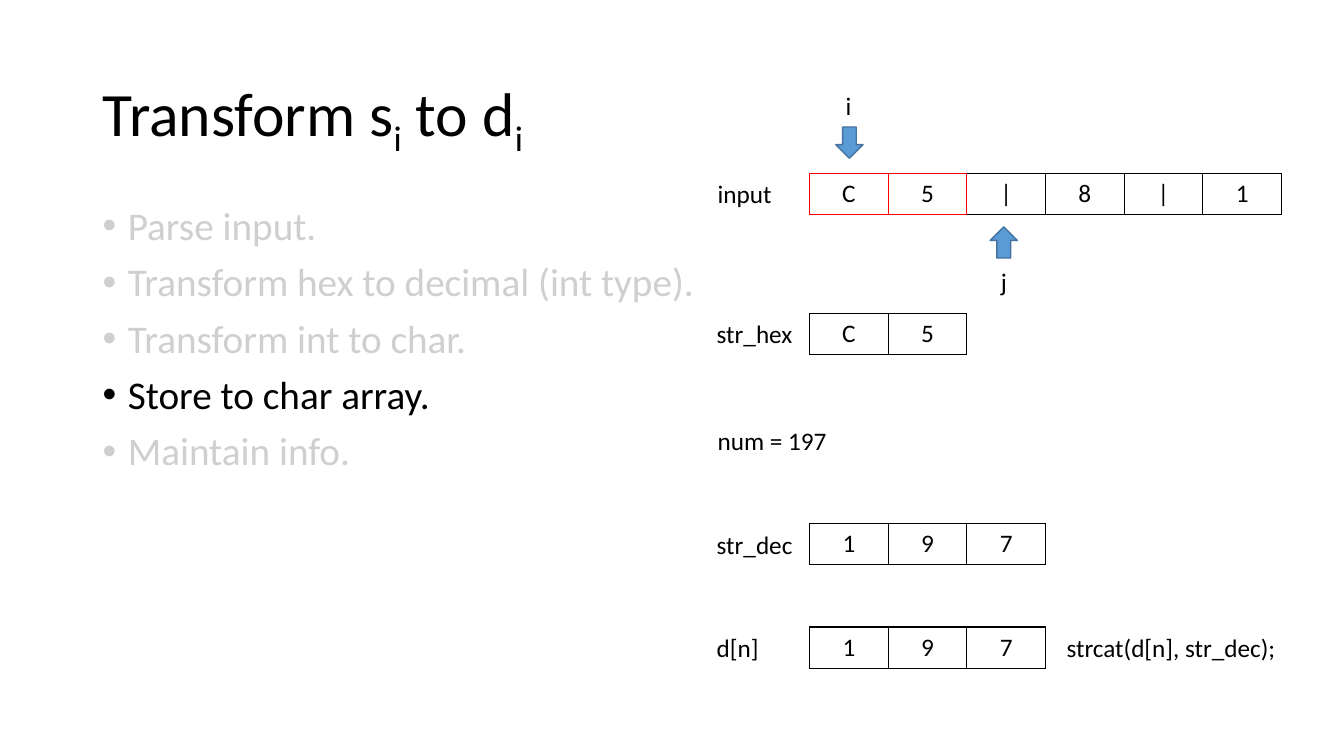
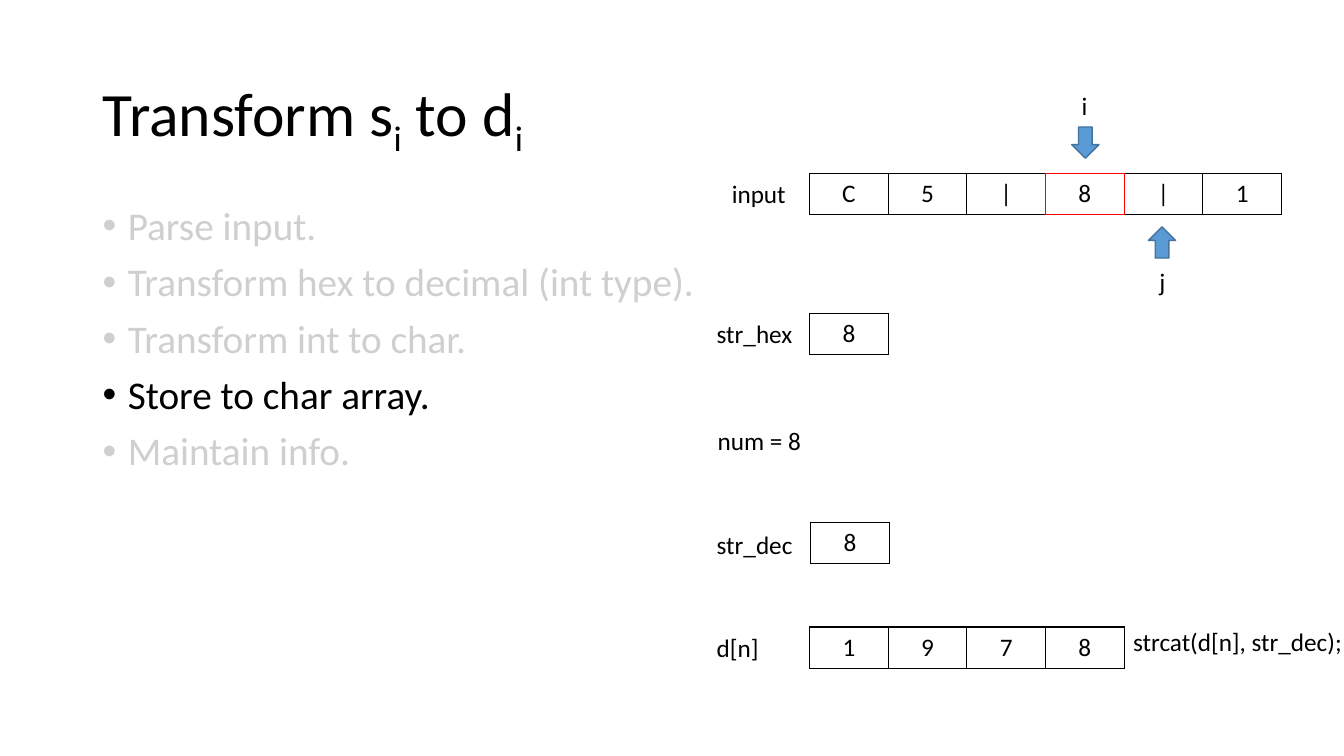
"""Builds two slides that step through storing decimal digits in a char array."""
import dataclasses

import lxml.etree
import pptx
import pptx.dml.color
import pptx.enum.shapes
import pptx.enum.text
import pptx.oxml.ns
import pptx.util

TITLE = [("Transform s", False), ("i", True), (" to d", False), ("i", True)]
STEPS = ["Parse input.", "Transform hex to decimal (int type).",
         "Transform int to char.", "Store to char array.", "Maintain info."]
CURRENT_STEP = 3
STRCAT = "strcat(d[n], str_dec);"

STATES = [
    {
        "tables": [("C5|8|1", 803, 172, {0, 1}), ("C5", 803, 311, set()),
                   ("197", 803, 519, set()), ("197", 803, 622, set())],
        "labels": [("input", 702, 172, 74), ("num = 197", 702, 417, 130),
                   (STRCAT, 1048, 622, 230)],
        "i_left": 829, "j_left": 982,
    },
    {
        "tables": [("C5|8|1", 803, 172, {3}), ("8", 803, 311, set()),
                   ("8", 804, 518, set()), ("1978", 803, 622, set())],
        "labels": [("input", 716, 172, 74), ("num = 8", 702, 417, 104),
                   (STRCAT, 1114, 616, 230)],
        "i_left": 1063, "j_left": 1139,
    },
]
SHARED_LABELS = [("str_hex", 701, 311, 96), ("str_dec", 701, 520, 96),
                 ("d[n]", 701, 622, 62)]


@dataclasses.dataclass(frozen=True)
class Theme:
    font: str = "Calibri"
    title: int = 44
    body: int = 28
    small: int = 18
    ink: str = "000000"
    faded: str = "D0CECE"
    mark: str = "FF0000"
    arrow: str = "5B9BD5"
    arrow_line: str = "43739E"


THEME = Theme()
CELL_W, CELL_H, LABEL_H = 78, 41, 40
ARROW_W, ARROW_H = 27, 31


def px(n):
    return pptx.util.Emu(n * 9144)


def box(*lengths):
    return [px(n) for n in lengths]


def rgb(value):
    return pptx.dml.color.RGBColor.from_string(value)


def style(p, size, color=THEME.ink):
    p.font.name, p.font.size = THEME.font, pptx.util.Pt(size)
    p.font.color.rgb = rgb(color)


def add_xml(parent, tag, **attrs):
    return lxml.etree.SubElement(parent, pptx.oxml.ns.qn(tag), attrs)


def add_title(s):
    sp = s.shapes.title
    sp.left, sp.top, sp.width, sp.height = box(92, 40, 1150, 145)
    tf = sp.text_frame
    tf.vertical_anchor = pptx.enum.text.MSO_ANCHOR.MIDDLE
    tf.auto_size = pptx.enum.text.MSO_AUTO_SIZE.NONE
    p = tf.paragraphs[0]
    p.alignment, p.line_spacing = pptx.enum.text.PP_ALIGN.LEFT, 0.9
    style(p, THEME.title)
    for text, is_subscript in TITLE:
        r = p.add_run()
        r.text = text
        if is_subscript:
            r.font._element.set("baseline", "-25000")


def add_steps(s):
    tf = s.shapes.add_textbox(*box(92, 200, 1150, 476)).text_frame
    tf.word_wrap = True
    for n, step in enumerate(STEPS):
        p = tf.add_paragraph() if n else tf.paragraphs[0]
        p.text = step
        p.line_spacing, p.space_before = 0.9, pptx.util.Pt(10)
        pPr = p._p.get_or_add_pPr()
        pPr.set("marL", str(px(25)))
        pPr.set("indent", str(px(-25)))
        add_xml(pPr, "a:buFont", typeface="Arial")
        add_xml(pPr, "a:buChar", char="•")
        style(p, THEME.body, THEME.ink if n == CURRENT_STEP else THEME.faded)


def add_label(s, text, left, top, width):
    tf = s.shapes.add_textbox(*box(left, top, width, LABEL_H)).text_frame
    tf.word_wrap = False
    tf.auto_size = pptx.enum.text.MSO_AUTO_SIZE.SHAPE_TO_FIT_TEXT
    p = tf.paragraphs[0]
    p.text = text
    style(p, THEME.small)


def add_border(cell, side, color):
    ln = add_xml(cell._tc.get_or_add_tcPr(), f"a:ln{side}", w="12700")
    add_xml(add_xml(ln, "a:solidFill"), "a:srgbClr", val=color)


def add_char_array(s, chars, left, top, marked):
    frame = s.shapes.add_table(
        1, len(chars), *box(left, top, CELL_W * len(chars), CELL_H))
    table = frame.table
    table.first_row = table.horz_banding = False
    for n, char in enumerate(chars):
        cell = table.cell(0, n)
        p = cell.text_frame.paragraphs[0]
        p.text = char
        p.alignment = pptx.enum.text.PP_ALIGN.CENTER
        style(p, THEME.small)
        for side, owners in (("L", {n - 1, n}), ("R", {n, n + 1}),
                             ("T", {n}), ("B", {n})):
            add_border(cell, side, THEME.mark if owners & marked else THEME.ink)
        cell.fill.background()


def add_arrow(s, left, top, rotation):
    sp = s.shapes.add_shape(pptx.enum.shapes.MSO_SHAPE.DOWN_ARROW,
                            *box(left, top, ARROW_W, ARROW_H))
    sp.rotation = rotation
    sp.shadow.inherit = False
    sp.fill.solid()
    sp.fill.fore_color.rgb = rgb(THEME.arrow)
    sp.line.color.rgb = rgb(THEME.arrow_line)
    sp.line.width = pptx.util.Pt(1)


def add_state(prs, state):
    s = prs.slides.add_slide(prs.slide_layouts.get_by_name("Title Only"))
    add_title(s)
    add_steps(s)
    for table in state["tables"]:
        add_char_array(s, *table)
    for label in SHARED_LABELS + state["labels"]:
        add_label(s, *label)
    add_arrow(s, state["i_left"], 126, 0)
    add_label(s, "i", state["i_left"], 85, 26)
    add_arrow(s, state["j_left"], 225, 180)
    add_label(s, "j", state["j_left"] + 1, 259, 26)


def main():
    prs = pptx.Presentation()
    prs.slide_width, prs.slide_height = box(1333, 750)
    for state in STATES:
        add_state(prs, state)
    prs.save("out.pptx")


if __name__ == "__main__":
    main()
